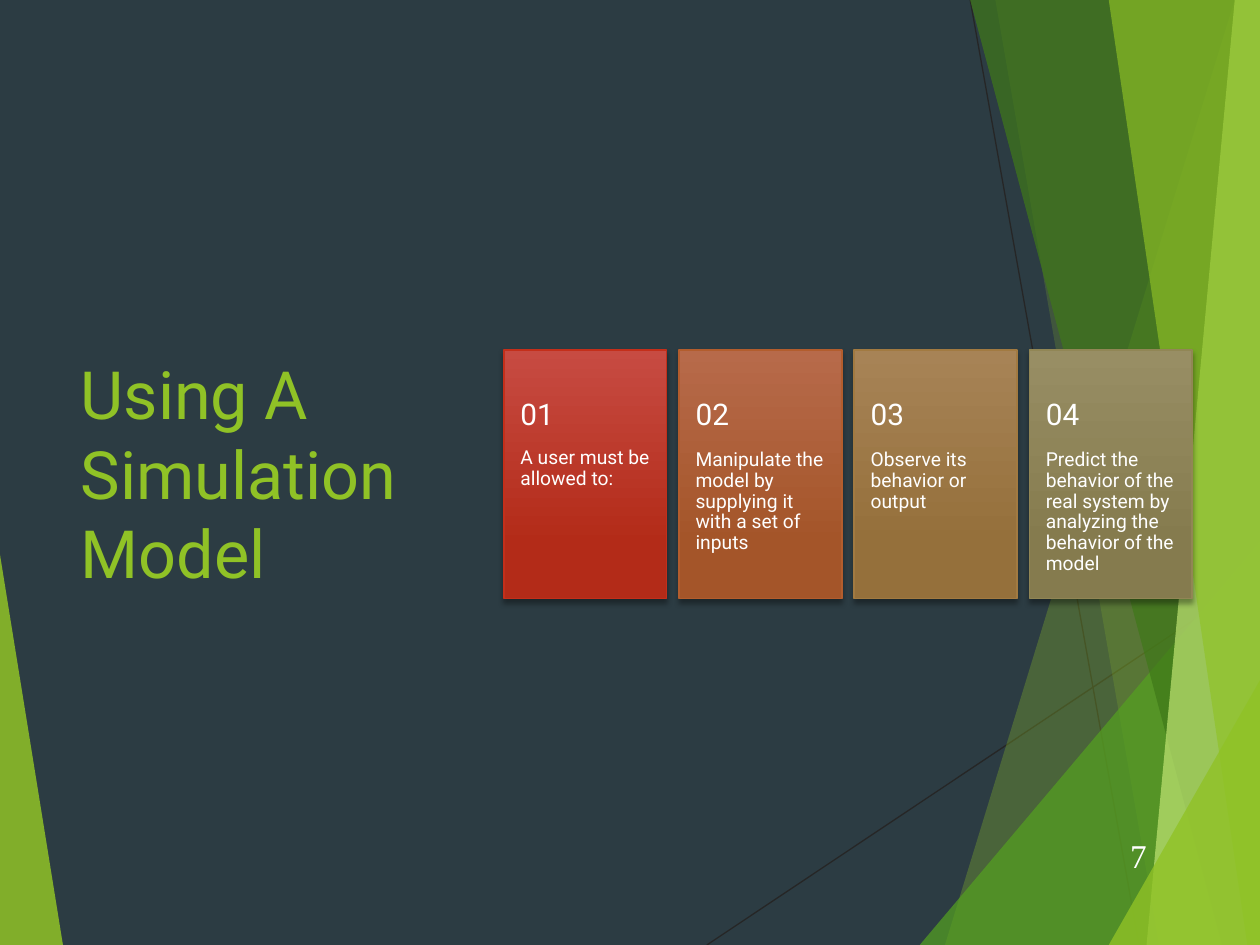
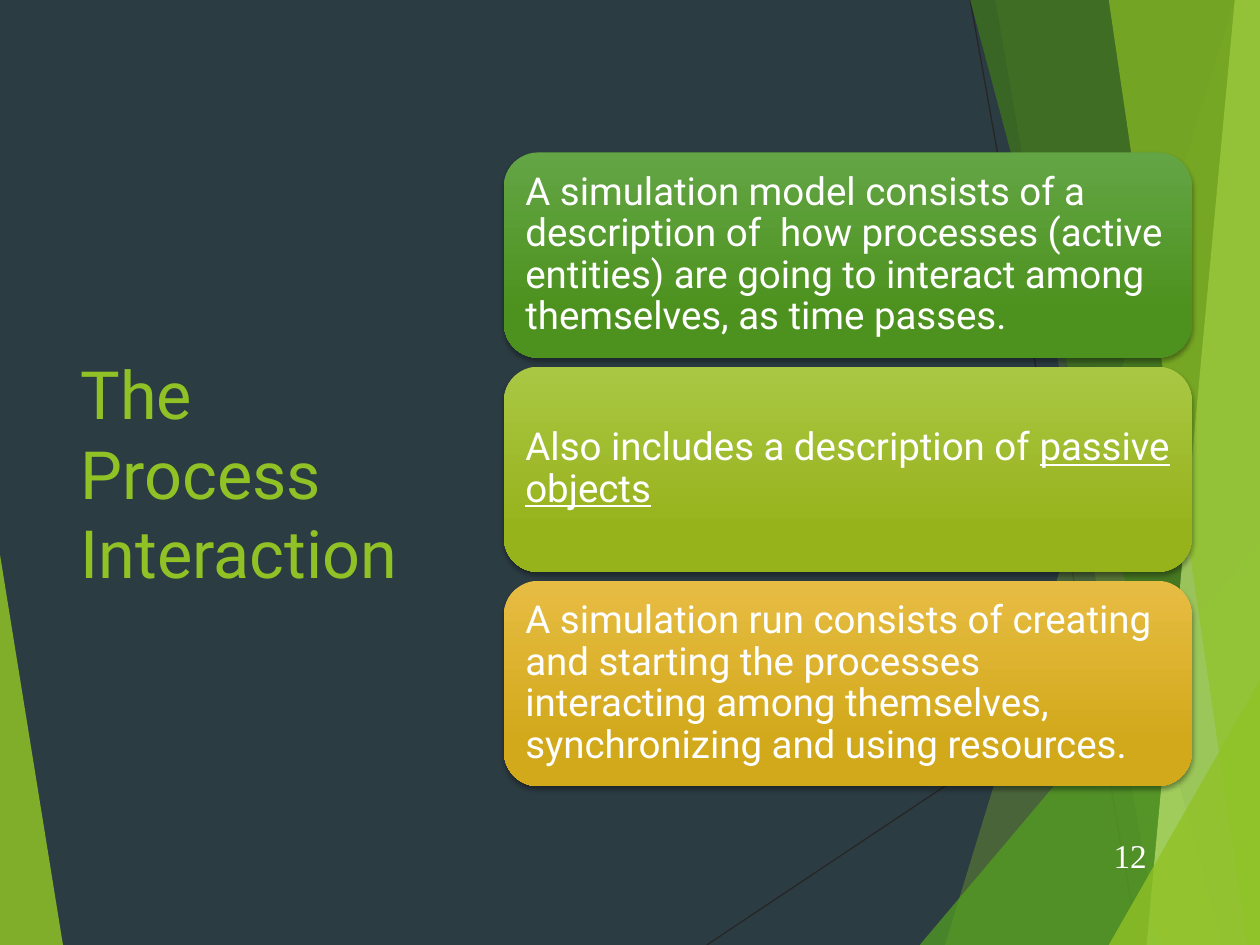
from lxml import etree
from pptx import Presentation
from pptx import util as u
from pptx.dml.color import RGBColor
from pptx.enum import shapes, text
from pptx.oxml.ns import qn

WIDTH, HEIGHT = u.Inches(10), u.Inches(7.5)
COLUMNS, ROWS = 100, 75
COLUMN, ROW = WIDTH / COLUMNS, HEIGHT / ROWS

BACKGROUND, LEAF, WHITE, THREAD = "2C3C43", "90C226", "FFFFFF", "262626"
SANS, SERIF = "Roboto", "Times New Roman"
CONTENT_LEFT, CONTENT_WIDTH = 40, 54.6

THREADS = [(56.1, 75, 100, 45.7), (77, 0, 90.4, 75)]
FACETS = [
    (LEAF, 85, [(0, 43.9), (4.9, 75), (0, 75)]),
    (LEAF, 30, [(97.5, 0), (75.4, 75), (100, 75), (100, 0)]),
    (LEAF, 20, [(78.8, 0), (91.9, 75), (100, 75), (100, 0)]),
    ("54A021", 72, [(72.6, 75), (100, 42.9), (100, 75)]),
    ("3F7819", 70, [(76.7, 0), (97, 75), (100, 75), (100, 0)]),
    ("C0E474", 70, [(98.1, 0), (90.7, 75), (100, 75), (100, 0)]),
    (LEAF, 65, [(88.3, 0), (98.6, 75), (100, 75), (99.8, 0)]),
    (LEAF, 80, [(88.1, 75), (100, 53.5), (100, 75)]),
]

STEPS = [
    ("A user must be allowed to:", "C74B42", "B32B18", "C42F1A"),
    ("Manipulate the model by supplying it with a set of inputs",
     "B76A4A", "A45529", "B35D2D"),
    ("Observe its behavior or output", "A78356", "95703B", "A27A41"),
    ("Predict the behavior of the real system by analyzing the behavior "
     "of the model", "988E64", "857B4E", "918655"),
]
STATEMENTS = [
    ([("A simulation model consists of a description of  how processes "
       "(active entities) are going to interact among themselves, "
       "as time passes.", False)], "63A545", "4D921E"),
    ([("Also includes a description of ", False), ("passive objects", True)],
     "AAC744", "97B31C"),
    ([("A simulation run consists of creating and starting the processes "
       "interacting among themselves, synchronizing and using resources.",
       False)], "E7BC43", "D2A91B"),
]


def color(hex_value):
    """Turn a hex string into a colour."""
    return RGBColor.from_string(hex_value)


def box(left, top, width, height):
    """Turn grid columns and rows into slide lengths."""
    return (round(left * COLUMN), round(top * ROW),
            round(width * COLUMN), round(height * ROW))


def add_run(paragraph, words, size, font=SANS, fill=WHITE, underline=False):
    """Append one formatted run."""
    run = paragraph.add_run()
    run.text = words
    run.font.size = u.Pt(size)
    run.font.name = font
    run.font.color.rgb = color(fill)
    if underline:
        run.font.underline = True


def add_text(slide, place, runs, size, font=SANS, insets=(1, 0.5, 1, 0.5),
             anchor=text.MSO_ANCHOR.MIDDLE, align=text.PP_ALIGN.LEFT):
    """Add a wrapped text box of (words, underline) runs."""
    frame = slide.shapes.add_textbox(*box(*place)).text_frame
    frame.word_wrap = True
    frame.vertical_anchor = anchor
    (frame.margin_left, frame.margin_top,
     frame.margin_right, frame.margin_bottom) = box(*insets)
    paragraph = frame.paragraphs[0]
    paragraph.alignment = align
    paragraph.line_spacing = 0.9
    for words, underline in runs:
        add_run(paragraph, words, size, font, underline=underline)


def add_facet(slide, fill, opacity, points):
    """Add one translucent polygon of the backdrop."""
    builder = slide.shapes.build_freeform(*points[0], scale=(COLUMN, ROW))
    builder.add_line_segments(points[1:], close=True)
    facet = builder.convert_to_shape()
    facet.shadow.inherit = False
    facet.line.fill.background()
    facet.fill.solid()
    facet.fill.fore_color.rgb = color(fill)
    tone = facet._element.spPr.find(".//" + qn("a:srgbClr"))
    etree.SubElement(tone, qn("a:alpha"), val=str(opacity * 1000))


def add_thread(slide, ends):
    """Add one thin line of the backdrop."""
    thread = slide.shapes.add_connector(shapes.MSO_CONNECTOR.STRAIGHT, *box(*ends))
    thread.line.color.rgb = color(THREAD)
    thread.line.width = u.Pt(0.75)
    etree.SubElement(thread._element.spPr, qn("a:effectLst"))


def add_panel(slide, kind, place, top_color, bottom_color, border=None):
    """Add a panel with a vertical gradient and a soft drop shadow."""
    panel = slide.shapes.add_shape(kind, *box(*place))
    panel.fill.gradient()
    panel.fill.gradient_angle = 270
    stops = zip(panel.fill.gradient_stops, (0, 0.78), (top_color, bottom_color))
    for stop, position, tone in stops:
        stop.position = position
        stop.color.rgb = color(tone)
    if border:
        panel.line.color.rgb = color(border)
        panel.line.width = u.Pt(1)
    else:
        panel.line.fill.background()
    panel.shadow.inherit = False
    effects = panel._element.spPr.find(qn("a:effectLst"))
    shadow = etree.SubElement(
        effects, qn("a:outerShdw"), blurRad=str(u.Pt(3)), dist=str(u.Pt(2)),
        dir="5400000", rotWithShape="0")
    tone = etree.SubElement(shadow, qn("a:srgbClr"), val="000000")
    etree.SubElement(tone, qn("a:alpha"), val="35000")


def add_base_slide(presentation, heading, number):
    """Add a slide with backdrop, title and slide number."""
    slide = presentation.slides.add_slide(presentation.slide_layouts[5])
    slide.background.fill.solid()
    slide.background.fill.fore_color.rgb = color(BACKGROUND)
    for ends in THREADS:
        add_thread(slide, ends)
    for facet in FACETS:
        add_facet(slide, *facet)
    title = slide.shapes.title
    title.left, title.top, title.width, title.height = box(5.4, 15.1, 29.1, 44.8)
    frame = title.text_frame
    frame.word_wrap = True
    frame.auto_size = text.MSO_AUTO_SIZE.NONE
    frame.vertical_anchor = text.MSO_ANCHOR.MIDDLE
    frame.paragraphs[0].alignment = text.PP_ALIGN.LEFT
    add_run(frame.paragraphs[0], heading, 38, fill=LEAF)
    add_text(slide, (86.4, 66.1, 5.6, 4), [(number, False)], 19, SERIF,
             align=text.PP_ALIGN.RIGHT)
    return slide


def add_step_cards(slide):
    """Lay the numbered steps out as a row of cards."""
    top, width, height = 27.8, 12.9, 19.7
    pitch = (CONTENT_WIDTH - width) / (len(STEPS) - 1)
    for index, (words, *tones) in enumerate(STEPS):
        left = CONTENT_LEFT + index * pitch
        add_panel(slide, shapes.MSO_SHAPE.RECTANGLE, (left, top, width, height), *tones)
        add_text(slide, (left, top + 7.9, width, 11.8), [(words, False)], 11,
                 insets=(1.3, 0, 1.3, 3.6), anchor=text.MSO_ANCHOR.TOP)
        add_text(slide, (left, top + 2.1, width, 6.2), [(f"{index + 1:02}", False)],
                 17, insets=(1.3, 1.8, 1.3, 1.8))


def add_statement_panels(slide):
    """Stack the statements as rounded panels."""
    first_top, height, pitch, inset = 12.1, 16.3, 17, 0.8
    for index, (runs, *tones) in enumerate(STATEMENTS):
        top = first_top + index * pitch
        add_panel(slide, shapes.MSO_SHAPE.ROUNDED_RECTANGLE,
                  (CONTENT_LEFT, top, CONTENT_WIDTH, height), *tones)
        add_text(slide, (CONTENT_LEFT + inset, top + inset,
                         CONTENT_WIDTH - 2 * inset, height - 2 * inset),
                 runs, 22, insets=(0.9,) * 4)


def main():
    """Build and save the presentation."""
    presentation = Presentation()
    presentation.slide_width, presentation.slide_height = WIDTH, HEIGHT
    add_step_cards(add_base_slide(presentation, "Using A Simulation Model", "7"))
    add_statement_panels(add_base_slide(presentation, "The Process Interaction", "12"))
    presentation.save("out.pptx")


if __name__ == "__main__":
    main()
